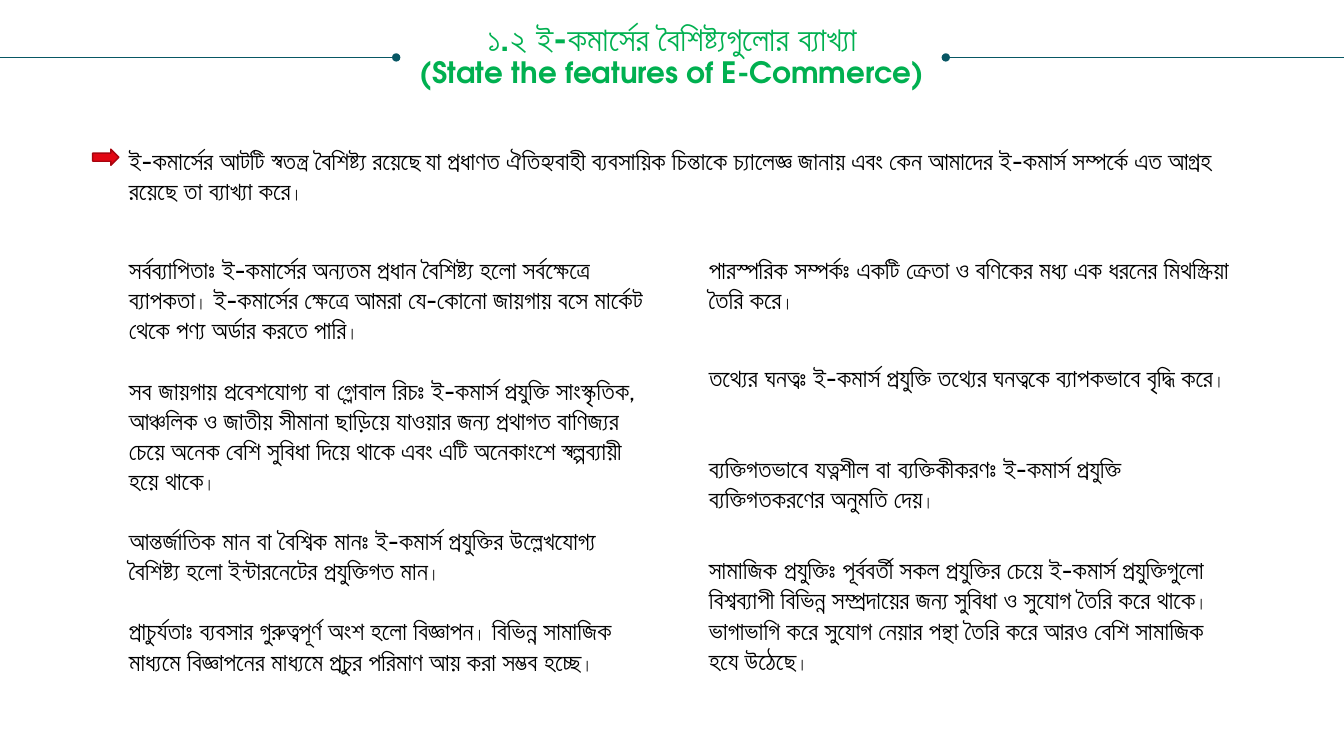
from lxml.etree import SubElement
from pptx import Presentation
from pptx.dml.color import RGBColor
from pptx.enum.shapes import MSO_CONNECTOR as Connector, MSO_SHAPE as Shape
from pptx.enum.text import MSO_ANCHOR as Anchor, MSO_AUTO_SIZE as AutoSize, PP_ALIGN as Align
from pptx.oxml.ns import qn
from pptx.util import Inches, Pt

WIDTH, HEIGHT = Inches(13.33), Inches(7.5)
GREEN = RGBColor(0x00, 0xB0, 0x50)
TEAL = RGBColor(0x08, 0x57, 0x64)
RED = RGBColor(0xE2, 0x06, 0x13)
DARK_RED = RGBColor(0xA7, 0x04, 0x0E)
BLACK = RGBColor(0, 0, 0)
TITLE_FONT, BODY_FONT = "TeX Gyre Adventor", "Cabin"
BODY_SIZE, DANDA_SIZE = 18, 13
DANDA = "।"
LEFT, RIGHT, COLUMN = 8.85, 52, 40.28

TITLE = [
    ("১.২ ই-কমার্সের বৈশিষ্ট্যগুলোর ব্যাখ্যা", 24),
    ("(State the features of E-Commerce)", 21),
]
INTRO = [
    ("ই-কমার্সের আটটি স্বতন্ত্র বৈশিষ্ট্য রয়েছে", BODY_SIZE, False),
    (" ", 12, False),
    ("যা প্রধাণত ঐতিহ্যবাহী ব্যবসায়িক চিন্তাকে চ্যালেজ্ঞ জানায় এবং কেন আমাদের ই-কমার্স সম্পর্কে এত আগ্রহ "
     "রয়েছে তা ব্যাখ্যা করে", BODY_SIZE, False),
    (DANDA, DANDA_SIZE, False),
]
FEATURES = [
    (LEFT, 32.93, 3, "সর্বব্যাপিতাঃ ",
     "ই-কমার্সের অন্যতম প্রধান বৈশিষ্ট্য হলো সর্বক্ষেত্রে ব্যাপকতা। ই-কমার্সের ক্ষেত্রে আমরা যে-কোনো জায়গায় "
     "বসে মার্কেট থেকে পণ্য অর্ডার করতে পারি।"),
    (LEFT, 48.93, 4, "সব জায়গায় প্রবেশযোগ্য বা গ্লোবাল রিচঃ ",
     "ই-কমার্স প্রযুক্তি সাংস্কৃতিক, আঞ্চলিক ও জাতীয় সীমানা ছাড়িয়ে যাওয়ার জন্য প্রথাগত বাণিজ্যর চেয়ে অনেক "
     "বেশি সুবিধা দিয়ে থাকে এবং এটি অনেকাংশে স্বল্পব্যায়ী হয়ে থাকে।"),
    (LEFT, 68.8, 2, "আন্তর্জাতিক মান বা বৈশ্বিক মানঃ ",
     "ই-কমার্স প্রযুক্তির উল্লেখযোগ্য বৈশিষ্ট্য হলো ইন্টারনেটের প্রযুক্তিগত মান।"),
    (LEFT, 80.8, 2, "প্রাচুর্যতাঃ ",
     "ব্যবসার গুরুত্বপূর্ণ অংশ হলো বিজ্ঞাপন। বিভিন্ন সামাজিক মাধ্যমে বিজ্ঞাপনের মাধ্যমে প্রচুর পরিমাণ আয় করা "
     "সম্ভব হচ্ছে।"),
    (RIGHT, 32.93, 2, "পারস্পরিক সম্পর্কঃ ",
     "একটি ক্রেতা ও বণিকের মধ্য এক ধরনের মিথস্ক্রিয়া তৈরি করে।"),
    (RIGHT, 47.33, 2, "তথ্যের ঘনত্বঃ ",
     "ই-কমার্স প্রযুক্তি তথ্যের ঘনত্বকে ব্যাপকভাবে বৃদ্ধি করে।"),
    (RIGHT, 59.33, 2, "ব্যক্তিগতভাবে যত্নশীল বা ব্যক্তিকীকরণঃ ",
     "ই-কমার্স প্রযুক্তি ব্যক্তিগতকরণের অনুমতি দেয়।"),
    (RIGHT, 72.67, 4, "সামাজিক প্রযুক্তিঃ ",
     "পূর্ববর্তী সকল প্রযুক্তির চেয়ে ই-কমার্স প্রযুক্তিগুলো বিশ্বব্যাপী বিভিন্ন সম্প্রদায়ের জন্য সুবিধা ও সুযোগ "
     "তৈরি করে থাকে। ভাগাভাগি করে সুযোগ নেয়ার পন্থা তৈরি করে আরও বেশি সামাজিক হযে উঠেছে।"),
]


def area(left, top, width, height):
    """Turn percentages of the slide's size into lengths."""
    return [int(whole * share / 100) for whole, share in
            zip((WIDTH, HEIGHT, WIDTH, HEIGHT), (left, top, width, height))]


def set_title(page):
    """Place and format the two-line title."""
    title = page.shapes.title
    title.left, title.top, title.width, title.height = area(1.88, 2.93, 96.25, 9.33)
    frame = title.text_frame
    frame.margin_left = frame.margin_right = frame.margin_top = frame.margin_bottom = 0
    frame.word_wrap = True
    frame.vertical_anchor = Anchor.TOP
    frame.auto_size = AutoSize.SHAPE_TO_FIT_TEXT
    frame.text = "\n".join(text for text, _ in TITLE)
    for para, (_, size) in zip(frame.paragraphs, TITLE):
        para.alignment = Align.CENTER
        para.line_spacing = 0.9
        para.space_before = Pt(0)
        font = para.font
        font.name, font.size, font.bold = TITLE_FONT, Pt(size), True
        font.color.rgb = GREEN


def add_rule(page, start, end, dotted_end):
    """Draw a title rule with a dot at the named end."""
    x1, y, x2, _ = area(start, 7.6, end, 0)
    rule = page.shapes.add_connector(Connector.STRAIGHT, x1, y, x2, y)
    rule.line.color.rgb = TEAL
    rule.line.width = Pt(0.5)
    SubElement(rule.line._get_or_add_ln(), qn(f"a:{dotted_end}"), type="oval")
    SubElement(rule._element.spPr, qn("a:effectLst"))


def add_pointer(page):
    """Draw the red arrow before the introduction."""
    arrow = page.shapes.add_shape(Shape.RIGHT_ARROW, *area(6.9, 19.73, 1.95, 2.13))
    arrow.shadow.inherit = False
    arrow.fill.solid()
    arrow.fill.fore_color.rgb = RED
    arrow.line.color.rgb = DARK_RED
    arrow.line.width = Pt(1)


def add_text(page, left, top, width, lines, spans):
    """Write one paragraph of (text, size, bold) spans."""
    box = page.shapes.add_textbox(*area(left, top, width, 1.33 + 4.04 * lines))
    frame = box.text_frame
    frame.word_wrap = True
    frame.auto_size = AutoSize.SHAPE_TO_FIT_TEXT
    para = frame.paragraphs[0]
    para.font.name = BODY_FONT
    para.font.color.rgb = BLACK
    for text, size, bold in spans:
        span = para.add_run()
        span.text = text
        span.font.size, span.font.bold = Pt(size), bold


def feature_spans(heading, body):
    """Give a bold heading and a body with small sentence marks."""
    spans = [(heading, BODY_SIZE, True)]
    for sentence in body.rstrip(DANDA).split(DANDA):
        spans += [(sentence, BODY_SIZE, False), (DANDA, DANDA_SIZE, False)]
    return spans


def main():
    """Build and save the slide."""
    deck = Presentation()
    deck.slide_width, deck.slide_height = WIDTH, HEIGHT
    page = deck.slides.add_slide(deck.slide_layouts.get_by_name("Title Only"))
    set_title(page)
    add_rule(page, 0, 29.48, "tailEnd")
    add_rule(page, 70.37, 100, "headEnd")
    add_text(page, LEFT, 18.53, 82.3, 2, INTRO)
    add_pointer(page)
    for left, top, lines, heading, body in FEATURES:
        add_text(page, left, top, COLUMN, lines, feature_spans(heading, body))
    deck.save("out.pptx")


if __name__ == "__main__":
    main()
